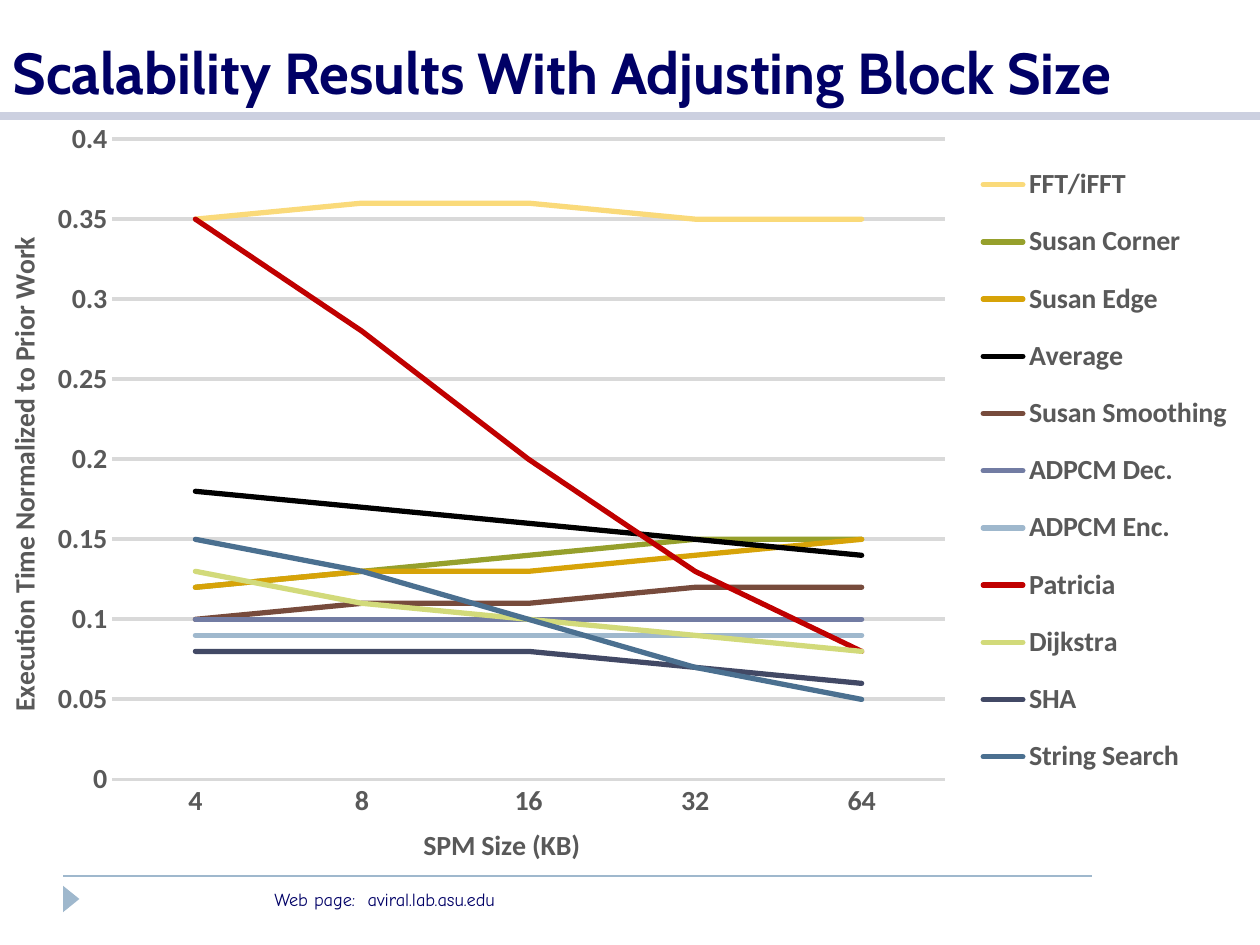
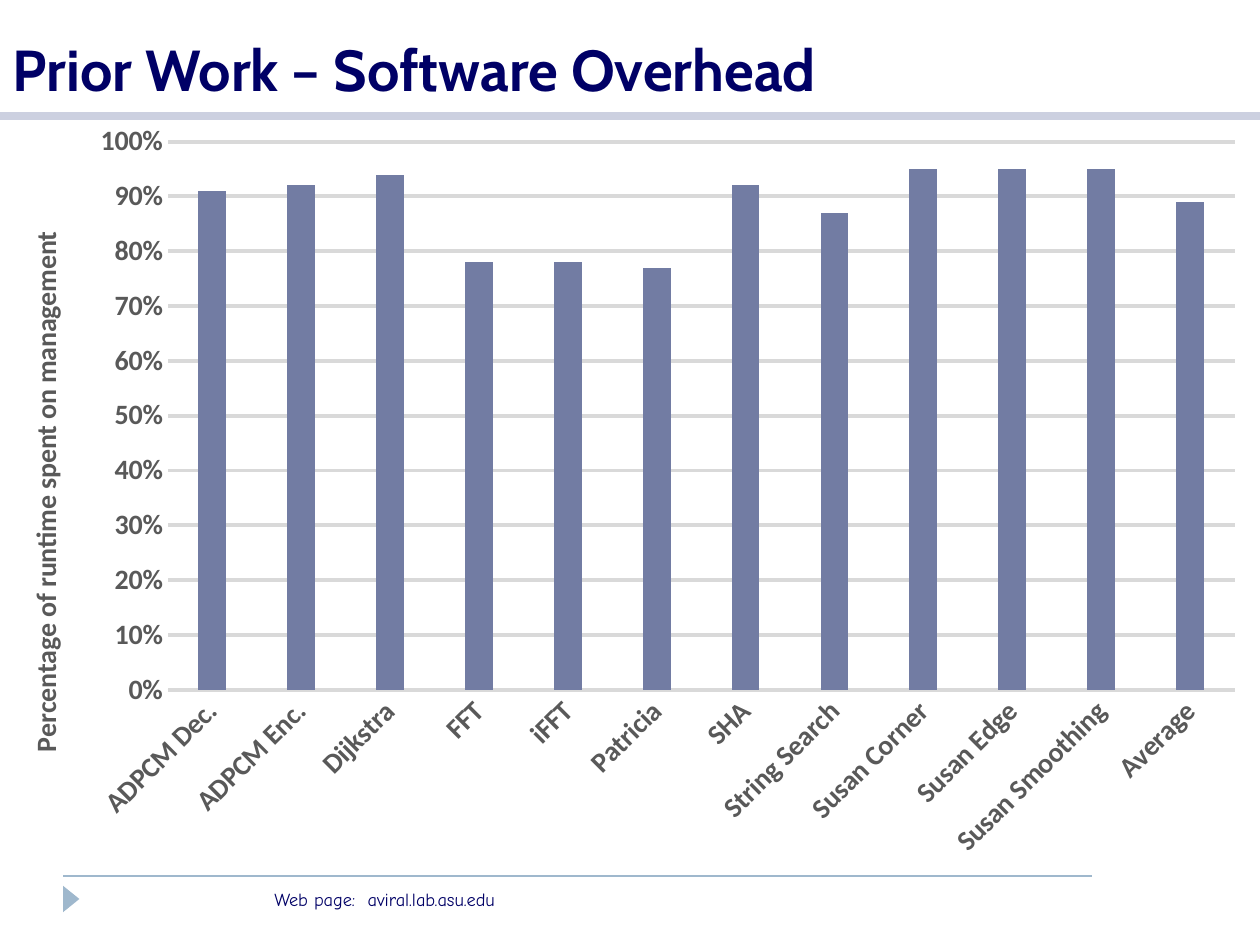
from dataclasses import dataclass

from lxml import etree
from pptx import Presentation
from pptx.chart.data import CategoryChartData
from pptx.dml.color import RGBColor
from pptx.enum.chart import XL_CHART_TYPE as ChartType, XL_LEGEND_POSITION as LegendPos
from pptx.enum.chart import XL_TICK_LABEL_POSITION as LabelPos, XL_TICK_MARK as TickMark
from pptx.enum.shapes import MSO_CONNECTOR as Connector, MSO_SHAPE as Shape
from pptx.enum.text import MSO_ANCHOR as Anchor, PP_ALIGN as Align
from pptx.oxml import parse_xml
from pptx.oxml.ns import nsdecls, qn
from pptx.util import Inches, Pt


@dataclass(frozen=True)
class Theme:
    navy: str = "000066"
    band: str = "CCD0E0"
    pale_blue: str = "9FB8CD"
    slate: str = "727CA3"
    axis_text: str = "595959"
    grid: str = "D9D9D9"
    title_font: str = "Cabin"
    footer_font: str = "Comic Neue"
    chart_font: str = "Calibri"
    title_size: float = 33
    footer_size: float = 10.5
    chart_size: float = 16


THEME = Theme()
WEB_PAGE = "Web page:\taviral.lab.asu.edu"

# Layouts are percentages of the chart frame: left, top and, for areas, width, height.
SCALABILITY = {
    "title": "Scalability Results With Adjusting Block Size",
    "top": 0.89, "height": 6.03,
    "kind": ChartType.LINE,
    "categories": [4, 8, 16, 32, 64],
    "series": [
        ("FFT/iFFT", "FADA7A", [0.35, 0.36, 0.36, 0.35, 0.35]),
        ("Susan Corner", "96A02C", [0.12, 0.13, 0.14, 0.15, 0.15]),
        ("Susan Edge", "D7A308", [0.12, 0.13, 0.13, 0.14, 0.15]),
        ("Average", "000000", [0.18, 0.17, 0.16, 0.15, 0.14]),
        ("Susan Smoothing", "774B3C", [0.1, 0.11, 0.11, 0.12, 0.12]),
        ("ADPCM Dec.", THEME.slate, [0.1] * 5),
        ("ADPCM Enc.", THEME.pale_blue, [0.09] * 5),
        ("Patricia", "C00000", [0.35, 0.28, 0.2, 0.13, 0.08]),
        ("Dijkstra", "D2DA7A", [0.13, 0.11, 0.1, 0.09, 0.08]),
        ("SHA", "424965", [0.08, 0.08, 0.08, 0.07, 0.06]),
        ("String Search", "4B7090", [0.15, 0.13, 0.1, 0.07, 0.05]),
    ],
    "maximum": 0.4, "step": 0.05, "number_format": "General",
    "plot": (8.9, 3.6, 66.1, 85.3),
    "legend": (76.7, 4.3, 22, 87),
    "category_title": ("SPM Size (KB)", (33.2, 94.5)),
    "value_title": ("Execution Time Normalized to Prior Work", (0, 16.7)),
}
OVERHEAD = {
    "title": "Prior Work – Software Overhead",
    "top": 0.87, "height": 6.06,
    "kind": ChartType.COLUMN_CLUSTERED,
    "categories": ["ADPCM Dec.", "ADPCM Enc.", "Dijkstra", "FFT", "iFFT", "Patricia",
                   "SHA", "String Search", "Susan Corner", "Susan Edge",
                   "Susan Smoothing", "Average"],
    "series": [("Series 1", THEME.slate, [0.91, 0.92, 0.94, 0.78, 0.78, 0.77,
                                          0.92, 0.87, 0.95, 0.95, 0.95, 0.89])],
    "maximum": 1, "step": 0.1, "number_format": "0%",
    "plot": (13.3, 4.2, 84.7, 71.8),
    "value_title": ("Percentage of runtime spent on management", (1.7, 15.3)),
    "label_angle": -45,
}


def rgb(color):
    return RGBColor.from_string(color)


def set_font(font, face, size, color, bold=False):
    font.name, font.size, font.bold = face, Pt(size), bold
    font.color.rgb = rgb(color)


def write_text(frame, text, *, tab=None, align=None, **font_format):
    paragraph = frame.paragraphs[0]
    paragraph.text = text
    if align is not None:
        paragraph.alignment = align
    if tab:
        stops = etree.SubElement(paragraph._p.get_or_add_pPr(), qn("a:tabLst"))
        etree.SubElement(stops, qn("a:tab"), pos=str(Inches(tab)), algn="l")
    for run in paragraph.runs:
        set_font(run.font, **font_format)


def add_rule(slide, left, right, y, color, width):
    rule = slide.shapes.add_connector(
        Connector.STRAIGHT, Inches(left), Inches(y), Inches(right), Inches(y))
    rule.line.color.rgb, rule.line.width = rgb(color), Pt(width)
    etree.SubElement(rule.element.spPr, qn("a:effectLst"))


def add_frame(slide):
    """Add the title band and the footer that every slide carries."""
    add_rule(slide, 0.5, 8.67, 6.95, THEME.pale_blue, 1)
    add_rule(slide, 0, 10, 0.92, THEME.band, 5)
    web_page = slide.shapes.add_textbox(*map(Inches, (2.08, 7, 3.75, 0.28)))
    web_page.text_frame.word_wrap = True
    write_text(web_page.text_frame, WEB_PAGE, tab=0.74, face=THEME.footer_font,
               size=THEME.footer_size, color=THEME.navy)
    marker = slide.shapes.add_shape(
        Shape.ISOSCELES_TRIANGLE, *map(Inches, (0.46, 7.07, 0.21, 0.13)))
    marker.rotation = 90
    marker.shadow.inherit = False
    marker.fill.solid()
    marker.fill.fore_color.rgb = rgb(THEME.pale_blue)
    marker.line.fill.background()


def place(element, index, *box, inner=False):
    """Give a chart part a manual layout, inserted as its child number index."""
    for old in element.findall(qn("c:layout")):
        element.remove(old)
    layout = parse_xml(f"<c:layout {nsdecls('c')}><c:manualLayout/></c:layout>")
    settings = [("layoutTarget", "inner")] if inner else []
    settings += [("xMode", "edge"), ("yMode", "edge")]
    settings += [(tag, round(percent / 100, 4)) for tag, percent in zip("xywh", box)]
    for tag, value in settings:
        etree.SubElement(layout[0], qn(f"c:{tag}"), val=str(value))
    element.insert(index, layout)


def style_axis(axis, title, font_format, angle=0):
    axis.major_tick_mark = axis.minor_tick_mark = TickMark.NONE
    axis.tick_label_position = LabelPos.NEXT_TO_AXIS
    set_font(axis.tick_labels.font, **font_format)
    axis.has_title = bool(title)
    if title:
        text, position = title
        write_text(axis.axis_title.text_frame, text, **font_format)
        body = axis.axis_title.element.xpath(".//a:bodyPr")[0]
        body.set("rot", str(angle * 60000))
        body.set("vert", "horz")
        place(axis.axis_title.element, 1, *position)


def add_result_chart(slide, content):
    data = CategoryChartData()
    data.categories = content["categories"]
    for name, _, values in content["series"]:
        data.add_series(name, values)
    chart = slide.shapes.add_chart(
        content["kind"], 0, Inches(content["top"]), Inches(10),
        Inches(content["height"]), data).chart
    chart.has_title = False
    label_format = dict(face=THEME.chart_font, size=THEME.chart_size,
                        color=THEME.axis_text, bold=True)
    set_font(chart.font, **label_format)

    categories, values = chart.category_axis, chart.value_axis
    style_axis(categories, content.get("category_title"), label_format)
    style_axis(values, content["value_title"], label_format, angle=-90)
    categories.format.line.color.rgb = rgb(THEME.grid)
    categories.format.line.width = Pt(0.75)
    values.format.line.fill.background()
    values.minimum_scale, values.maximum_scale = 0, content["maximum"]
    values.major_unit = content["step"]
    values.tick_labels.number_format = content["number_format"]
    values.tick_labels.number_format_is_linked = False
    values.major_gridlines.format.line.color.rgb = rgb(THEME.grid)
    values.major_gridlines.format.line.width = Pt(2.25)
    if "label_angle" in content:
        labels = chart.element.xpath(".//c:catAx/c:txPr/a:bodyPr")[0]
        labels.set("rot", str(content["label_angle"] * 60000))

    plot = chart.plots[0]
    plot.vary_by_categories = False
    is_line = content["kind"] == ChartType.LINE
    if not is_line:
        plot.gap_width, plot.overlap = 219, -27
    for series, (_, color, _) in zip(plot.series, content["series"]):
        if is_line:
            series.smooth = False
            series.format.line.color.rgb = rgb(color)
            series.format.line.width = Pt(3)
        else:
            series.format.fill.solid()
            series.format.fill.fore_color.rgb = rgb(color)
    for outline in chart.element.xpath(".//c:lineChart/c:ser/c:spPr/a:ln"):
        outline.set("cap", "rnd")

    place(chart.element.xpath(".//c:plotArea")[0], 0, *content["plot"], inner=True)
    chart.has_legend = "legend" in content
    if chart.has_legend:
        chart.legend.position = LegendPos.BOTTOM
        chart.legend.include_in_layout = False
        set_font(chart.legend.font, **label_format)
        place(chart.element.xpath(".//c:legend")[0], 1, *content["legend"])


def add_result_slide(deck, content):
    slide = deck.slides.add_slide(deck.slide_layouts[5])
    add_frame(slide)
    title = slide.shapes.title
    title.left, title.top = 0, 0
    title.width, title.height = Inches(10), Inches(content["top"])
    title.text_frame.vertical_anchor = Anchor.BOTTOM
    write_text(title.text_frame, content["title"], align=Align.LEFT,
               face=THEME.title_font, size=THEME.title_size, color=THEME.navy,
               bold=True)
    add_result_chart(slide, content)


def main():
    deck = Presentation()
    deck.slide_width, deck.slide_height = Inches(10), Inches(7.5)
    for content in (SCALABILITY, OVERHEAD):
        add_result_slide(deck, content)
    deck.save("out.pptx")


if __name__ == "__main__":
    main()
